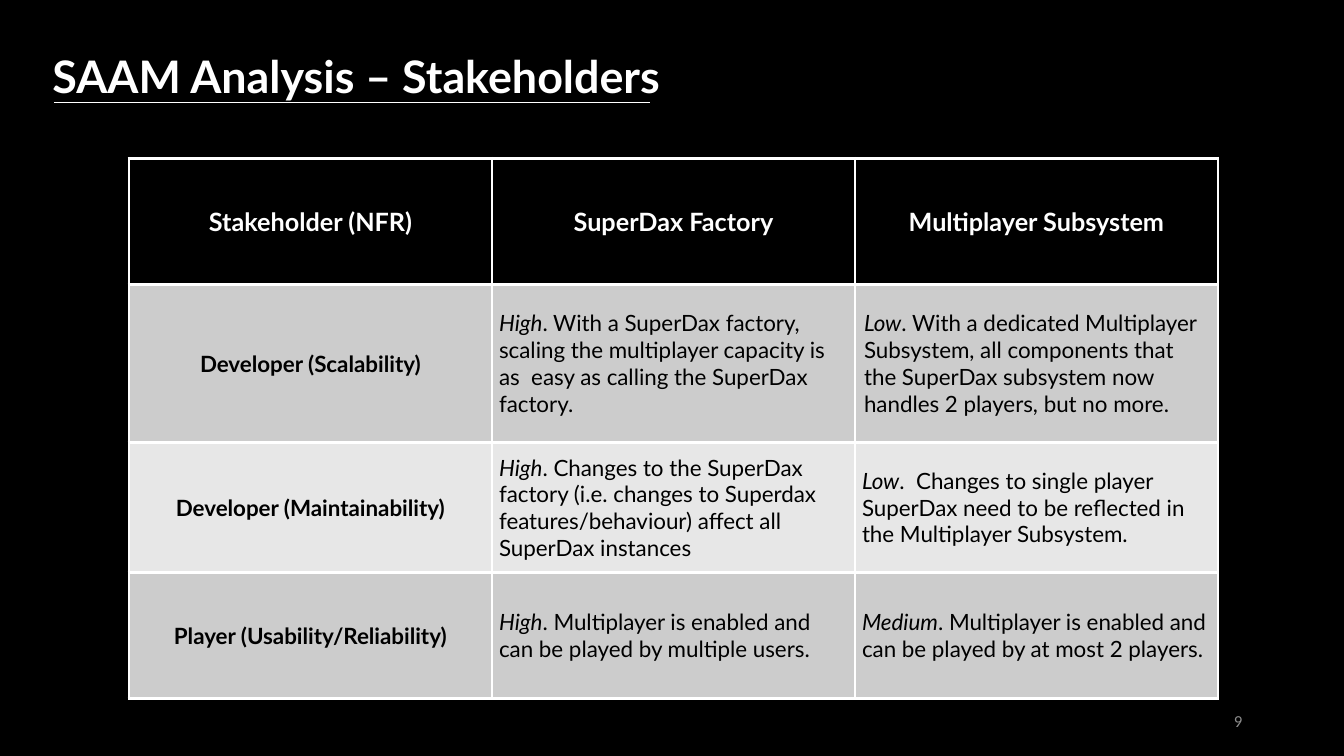
from lxml import etree
from pptx import Presentation
from pptx.dml.color import RGBColor
from pptx.enum.shapes import MSO_CONNECTOR
from pptx.enum.text import MSO_ANCHOR, MSO_AUTO_SIZE, PP_ALIGN
from pptx.oxml.ns import qn
from pptx.util import Inches, Pt

LEFT, CENTER, RIGHT = PP_ALIGN.LEFT, PP_ALIGN.CENTER, PP_ALIGN.RIGHT
TOP, MIDDLE = MSO_ANCHOR.TOP, MSO_ANCHOR.MIDDLE
STRAIGHT = MSO_CONNECTOR.STRAIGHT
GROW = MSO_AUTO_SIZE.SHAPE_TO_FIT_TEXT
TITLE_ONLY = 5

COLORS = {
    "black": "000000",
    "white": "FFFFFF",
    "dark_band": "CCCCCC",
    "light_band": "E7E7E7",
    "page_number": "8C8C8C",
}

# Table grid in inches
TABLE_LEFT, TABLE_TOP = 1.28, 1.57
COLUMN_WIDTH = 3.6
ROW_HEIGHTS = [1.25, 1.57, 1.29, 1.25]
CELL_MARGIN = 0.07

HEADINGS = ["Stakeholder (NFR)", "SuperDax Factory", "Multiplayer Subsystem"]
# Stakeholder, then a rating and its reason for each design
ASSESSMENTS = [
    ("Developer (Scalability)",
     ("High", ". With a SuperDax factory, scaling the multiplayer capacity is "
              "as  easy as calling the SuperDax factory."),
     ("Low", ". With a dedicated Multiplayer Subsystem, all components that "
             "the SuperDax subsystem now handles 2 players, but no more.")),
    ("Developer (Maintainability)",
     ("High", ". Changes to the SuperDax factory (i.e. changes to Superdax "
              "features/behaviour) affect all SuperDax instances"),
     ("Low", ".  Changes to single player SuperDax need to be reflected in "
             "the Multiplayer Subsystem.")),
    ("Player (Usability/Reliability)",
     ("High", ". Multiplayer is enabled and can be played by multiple users."),
     ("Medium", ". Multiplayer is enabled and can be played by at most "
                "2 players.")),
]


def color(name):
    return RGBColor.from_string(COLORS[name])


def format_run(run, size, color_name, bold=False, italic=False, font="Lato"):
    run.font.name = font
    run.font.size = Pt(size)
    run.font.color.rgb = color(color_name)
    run.font.bold = bold
    run.font.italic = italic


def add_title(slide, text):
    title = slide.shapes.title
    title.left, title.top = Inches(0.42), Inches(0.43)
    title.width, title.height = Inches(7.74), Inches(0.64)
    frame = title.text_frame
    frame.text = text
    frame.word_wrap = True
    frame.auto_size = GROW
    frame.vertical_anchor = TOP
    paragraph = frame.paragraphs[0]
    paragraph.alignment = LEFT
    format_run(paragraph.runs[0], 32, "white", bold=True)


def add_title_rule(slide):
    rule = slide.shapes.add_connector(
        STRAIGHT, Inches(0.54), Inches(1.02), Inches(6.45), Inches(1.02))
    rule.line.color.rgb = color("white")
    rule.line.width = Pt(0.5)
    etree.SubElement(rule._element.spPr, qn("a:effectLst"))


def add_page_number(slide, number):
    box = slide.shapes.add_textbox(
        Inches(9.42), Inches(6.95), Inches(3), Inches(0.4))
    frame = box.text_frame
    frame.text = number
    frame.word_wrap = True
    frame.vertical_anchor = MIDDLE
    paragraph = frame.paragraphs[0]
    paragraph.alignment = RIGHT
    format_run(paragraph.runs[0], 12, "page_number", font="Calibri")


def add_borders(cell):
    properties = cell._tc.get_or_add_tcPr()
    for side in ("a:lnL", "a:lnR", "a:lnT", "a:lnB"):
        border = etree.SubElement(properties, qn(side), w=str(Pt(2.25)))
        fill = etree.SubElement(border, qn("a:solidFill"))
        etree.SubElement(fill, qn("a:srgbClr"), val=COLORS["white"])


def style_cell(cell, fill_name):
    add_borders(cell)
    cell.fill.solid()
    cell.fill.fore_color.rgb = color(fill_name)
    cell.vertical_anchor = MIDDLE
    cell.margin_left = cell.margin_right = Inches(CELL_MARGIN)
    cell.margin_top = cell.margin_bottom = Inches(CELL_MARGIN)


def write_label(cell, text, size, color_name):
    cell.text_frame.text = text
    paragraph = cell.text_frame.paragraphs[0]
    paragraph.alignment = CENTER
    format_run(paragraph.runs[0], size, color_name, bold=True)


def write_assessment(cell, rating, reason):
    paragraph = cell.text_frame.paragraphs[0]
    paragraph.alignment = LEFT
    for text, italic in ((rating, True), (reason, False)):
        run = paragraph.add_run()
        run.text = text
        format_run(run, 16, "black", italic=italic)


def add_stakeholder_table(slide):
    table = slide.shapes.add_table(
        len(ROW_HEIGHTS), len(HEADINGS), Inches(TABLE_LEFT), Inches(TABLE_TOP),
        Inches(COLUMN_WIDTH * len(HEADINGS)), Inches(sum(ROW_HEIGHTS))).table
    for column in table.columns:
        column.width = Inches(COLUMN_WIDTH)
    for row, height in zip(table.rows, ROW_HEIGHTS):
        row.height = Inches(height)

    # Header row
    for cell, heading in zip(table.rows[0].cells, HEADINGS):
        style_cell(cell, "black")
        write_label(cell, heading, 18, "white")

    # Banded body rows
    for index, (stakeholder, *designs) in enumerate(ASSESSMENTS, start=1):
        cells = list(table.rows[index].cells)
        for cell in cells:
            style_cell(cell, "dark_band" if index % 2 else "light_band")
        write_label(cells[0], stakeholder, 16, "black")
        for cell, (rating, reason) in zip(cells[1:], designs):
            write_assessment(cell, rating, reason)

    # The first subsystem assessment is slightly indented
    table.cell(1, 2).margin_left = Inches(CELL_MARGIN + 0.02)


def main():
    presentation = Presentation()
    presentation.slide_width = Inches(13.33)
    presentation.slide_height = Inches(7.5)
    slide = presentation.slides.add_slide(
        presentation.slide_layouts[TITLE_ONLY])
    slide.background.fill.solid()
    slide.background.fill.fore_color.rgb = color("black")

    add_title(slide, "SAAM Analysis – Stakeholders")
    add_title_rule(slide)
    add_page_number(slide, "9")
    add_stakeholder_table(slide)
    presentation.save("out.pptx")


if __name__ == "__main__":
    main()
